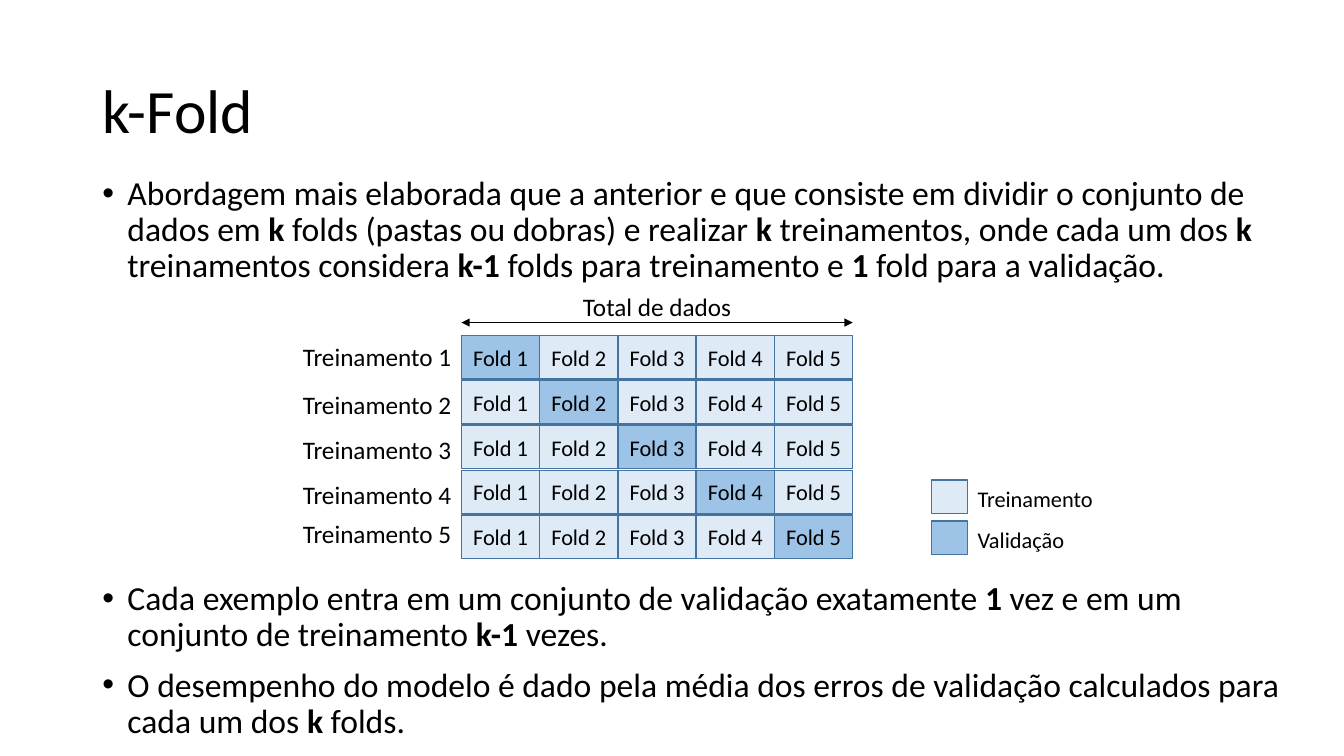
"""Build the k-Fold cross-validation slide."""
from lxml.etree import SubElement
from pptx import Presentation
from pptx.dml.color import RGBColor
from pptx.enum.shapes import MSO_CONNECTOR as Connector, MSO_SHAPE as Shape
from pptx.enum.text import MSO_ANCHOR as Anchor, PP_ALIGN as Align
from pptx.oxml.ns import qn
from pptx.util import Pt


def color(value):
    return RGBColor.from_string(value)


class FoldSlide:
    font = "Calibri"
    ink = "000000"
    edge = "43739E"
    training = "DEEBF7"
    validation = "9DC3E6"

    def __init__(self, slide):
        self.slide = slide

    def add_runs(self, paragraph, runs, size):
        for words, bold in runs:
            run = paragraph.add_run()
            run.text = words
            run.font.name = self.font
            run.font.size = Pt(size)
            run.font.bold = bold
            run.font.color.rgb = color(self.ink)

    def frame(self, left, top, width, height):
        box = self.slide.shapes.add_textbox(Pt(left), Pt(top), Pt(width), Pt(height))
        box.text_frame.word_wrap = True
        return box.text_frame

    def label(self, words, left, top, width, height, size, align=Align.LEFT):
        frame = self.frame(left, top, width, height)
        frame.paragraphs[0].alignment = align
        self.add_runs(frame.paragraphs[0], [(words, False)], size)
        return frame

    def title(self, words, left, top, width, height):
        frame = self.label(words, left, top, width, height, 44)
        frame.vertical_anchor = Anchor.MIDDLE
        frame.paragraphs[0].line_spacing = 0.9

    def bullets(self, items, left, top, width, height):
        frame = self.frame(left, top, width, height)
        for index, runs in enumerate(items):
            paragraph = frame.add_paragraph() if index else frame.paragraphs[0]
            paragraph.line_spacing = 0.9
            paragraph.space_before = Pt(10 if index else 0)
            props = paragraph._p.get_or_add_pPr()
            props.set("marL", str(Pt(18)))
            props.set("indent", str(Pt(-18)))
            SubElement(props, qn("a:buFont"), typeface="Arial")
            SubElement(props, qn("a:buChar"), char="•")
            self.add_runs(paragraph, runs, 24)

    def cell(self, fill, left, top, width, height, words=None):
        cell = self.slide.shapes.add_shape(
            Shape.RECTANGLE, Pt(left), Pt(top), Pt(width), Pt(height))
        cell.shadow.inherit = False
        cell.fill.solid()
        cell.fill.fore_color.rgb = color(fill)
        cell.line.color.rgb = color(self.edge)
        cell.line.width = Pt(1)
        if words:
            cell.text_frame.word_wrap = True
            cell.text_frame.vertical_anchor = Anchor.MIDDLE
            paragraph = cell.text_frame.paragraphs[0]
            paragraph.alignment = Align.CENTER
            self.add_runs(paragraph, [(words, False)], 16)

    def double_arrow(self, left, right, y):
        arrow = self.slide.shapes.add_connector(
            Connector.STRAIGHT, Pt(left), Pt(y), Pt(right), Pt(y))
        arrow.line.color.rgb = color(self.ink)
        arrow.line.width = Pt(0.5)
        line = arrow.line._get_or_add_ln()
        for end in ("a:headEnd", "a:tailEnd"):
            SubElement(line, qn(end), type="triangle")
        SubElement(arrow._element.spPr, qn("a:effectLst"))


def main():
    deck = Presentation()
    deck.slide_width, deck.slide_height = Pt(960), Pt(540)
    page = FoldSlide(deck.slides.add_slide(deck.slide_layouts[6]))

    page.title("k-Fold", 66, 28.8, 828, 104.4)
    page.bullets([[
        ("Abordagem mais elaborada que a anterior e que consiste em dividir "
         "o conjunto de dados em ", False),
        ("k ", True), ("folds (pastas ou dobras) e realizar ", False),
        ("k ", True), ("treinamentos, onde cada um dos ", False),
        ("k", True), (" treinamentos considera ", False),
        ("k-1", True), (" folds para treinamento e ", False),
        ("1 ", True), ("fold para a validação.", False),
    ]], 66, 122.4, 870, 84)

    grid_left, grid_top, column, row = 329.6, 239.8, 55.9, 32.05
    folds = 5
    label_tops = (240.5, 274.5, 306.5, 338.5, 366.5)
    for training, label_top in enumerate(label_tops):
        page.label(f"Treinamento {training + 1}", 208.2, label_top, 121.2, 29,
                   18, Align.RIGHT)
        for fold in range(folds):
            fill = page.validation if fold == training else page.training
            page.cell(fill, grid_left + fold * column, grid_top + training * row,
                      column, 31, f"Fold {fold + 1}")

    grid_width = folds * column
    page.label("Total de dados", grid_left, 204.5, grid_width, 29, 18, Align.CENTER)
    page.double_arrow(grid_left, grid_left + grid_width, 230.4)

    legend = (("Treinamento", page.training), ("Validação", page.validation))
    for index, (meaning, fill) in enumerate(legend):
        top = 342.9 + index * 29.3
        page.cell(fill, 665.3, top, 25.9, 23.8)
        page.label(meaning, 691.2, top, 103, 26.6, 16)

    page.bullets([
        [("Cada exemplo entra em um conjunto de validação exatamente ", False),
         ("1", True), (" vez e em um conjunto de treinamento ", False),
         ("k-1", True), (" vezes.", False)],
        [("O desempenho do modelo é dado pela média dos erros de validação "
          "calculados para cada um dos ", False),
         ("k", True), (" folds.", False)],
    ], 66, 411.8, 870, 84)

    deck.save("out.pptx")


if __name__ == "__main__":
    main()
